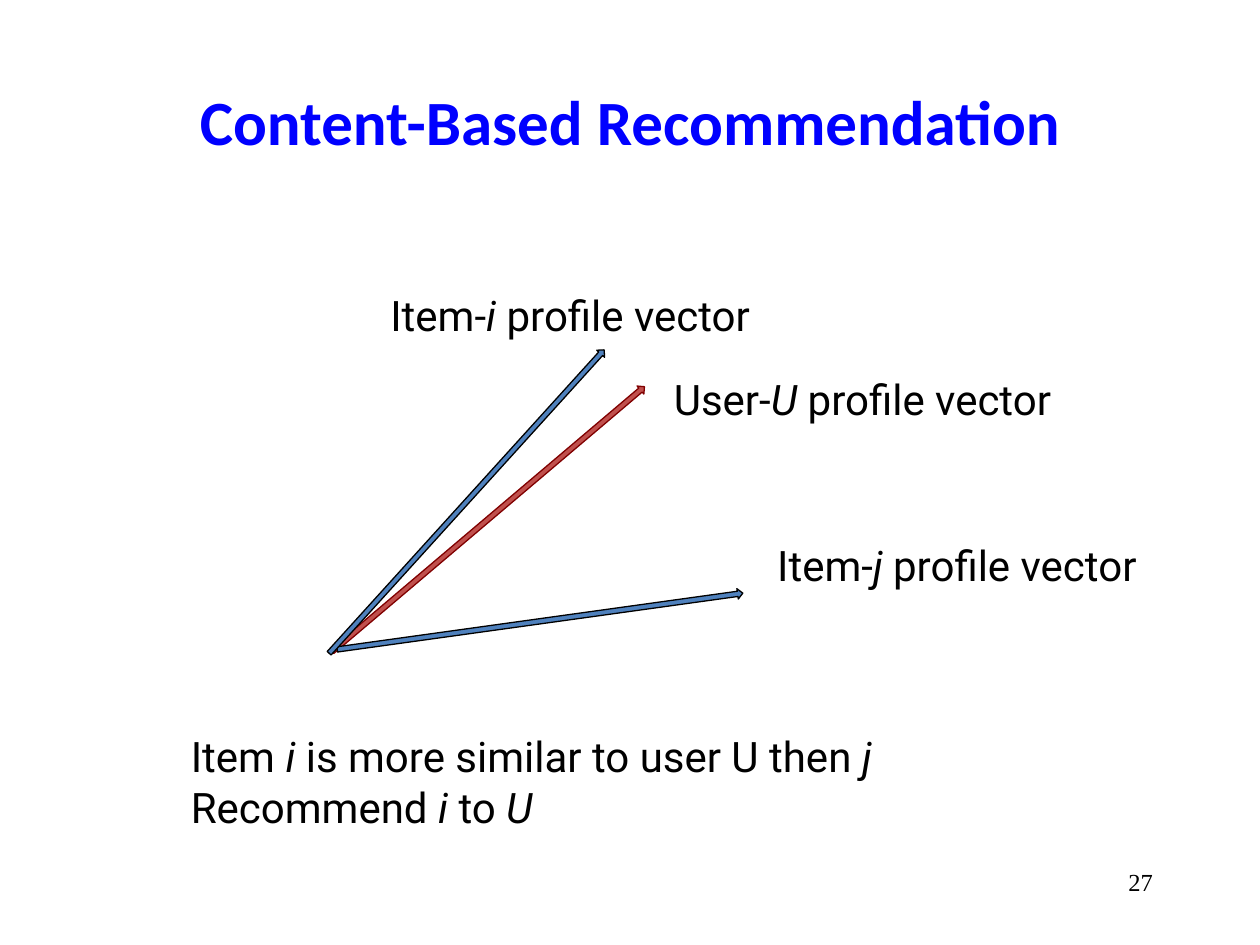
from math import cos, radians, sin

from pptx import Presentation
from pptx.dml.color import RGBColor
from pptx.enum.shapes import MSO_SHAPE
from pptx.enum.text import MSO_ANCHOR, MSO_AUTO_SIZE, PP_ALIGN
from pptx.util import Pt

TITLE = "Content-Based Recommendation"
NOTES = [
    (["User-*U* profile vector"], (378, 210, 235.5, 36)),
    (["Item-*j* profile vector"], (437, 304.5, 229, 36)),
    (["Item-*i* profile vector"], (216, 162, 227.5, 36)),
    (["Item *i* is more similar to user U then *j*", "Recommend *i* to *U*"],
     (102, 414, 420.5, 65.5)),
]
ARROWS = [
    ((189.8, 372.3), 319.7, "C0504D", "800000"),
    ((192.7, 371.1), 352.1, "4F81BD", "000000"),
    ((188.1, 373.3), 312.2, "4F81BD", "000000"),
]
LONG, THICK = 234, 6


def color(code):
    return RGBColor.from_string(code)


def place(shape, box):
    shape.left, shape.top, shape.width, shape.height = map(Pt, box)


def write(frame, lines, size=24, font="Roboto", ink="000000", bold=False,
          align=PP_ALIGN.LEFT, anchor=MSO_ANCHOR.TOP, fit=MSO_AUTO_SIZE.NONE):
    """Fill a text frame; words between asterisks become italic."""
    frame.word_wrap = True
    frame.auto_size = fit
    frame.vertical_anchor = anchor
    for n, line in enumerate(lines):
        para = frame.add_paragraph() if n else frame.paragraphs[0]
        para.alignment = align
        for k, part in enumerate(line.split("*")):
            if part:
                run = para.add_run()
                run.text = part
                run.font.size = Pt(size)
                run.font.name = font
                run.font.bold = bold
                run.font.italic = k % 2 == 1
                run.font.color.rgb = color(ink)


def label(slide, lines, box, **style):
    shape = slide.shapes.add_textbox(*map(Pt, box))
    write(shape.text_frame, lines, **style)


def arrow(slide, tail, angle, fill, edge):
    turn = radians(angle)
    left = tail[0] + LONG / 2 * (cos(turn) - 1)
    top = tail[1] + LONG / 2 * sin(turn) - THICK / 2
    shape = slide.shapes.add_shape(
        MSO_SHAPE.RIGHT_ARROW, *map(Pt, (left, top, LONG, THICK)))
    shape.rotation = angle
    shape.shadow.inherit = False
    shape.fill.solid()
    shape.fill.fore_color.rgb = color(fill)
    shape.line.color.rgb = color(edge)
    shape.line.width = Pt(0.75)


def main():
    deck = Presentation()
    deck.slide_width, deck.slide_height = Pt(720), Pt(540)
    slide = deck.slides.add_slide(deck.slide_layouts[5])
    title = slide.shapes.title
    place(title, (54, 24, 612, 90))
    write(title.text_frame, [TITLE], size=36, font="Calibri", ink="0000FF",
          bold=True, align=PP_ALIGN.CENTER, anchor=MSO_ANCHOR.MIDDLE)
    label(slide, ["27"], (516, 492, 150, 36), size=14,
          font="Times New Roman", align=PP_ALIGN.RIGHT)
    for item in ARROWS:
        arrow(slide, *item)
    for lines, box in NOTES:
        label(slide, lines, box, fit=MSO_AUTO_SIZE.SHAPE_TO_FIT_TEXT)
    deck.save("out.pptx")


if __name__ == "__main__":
    main()
